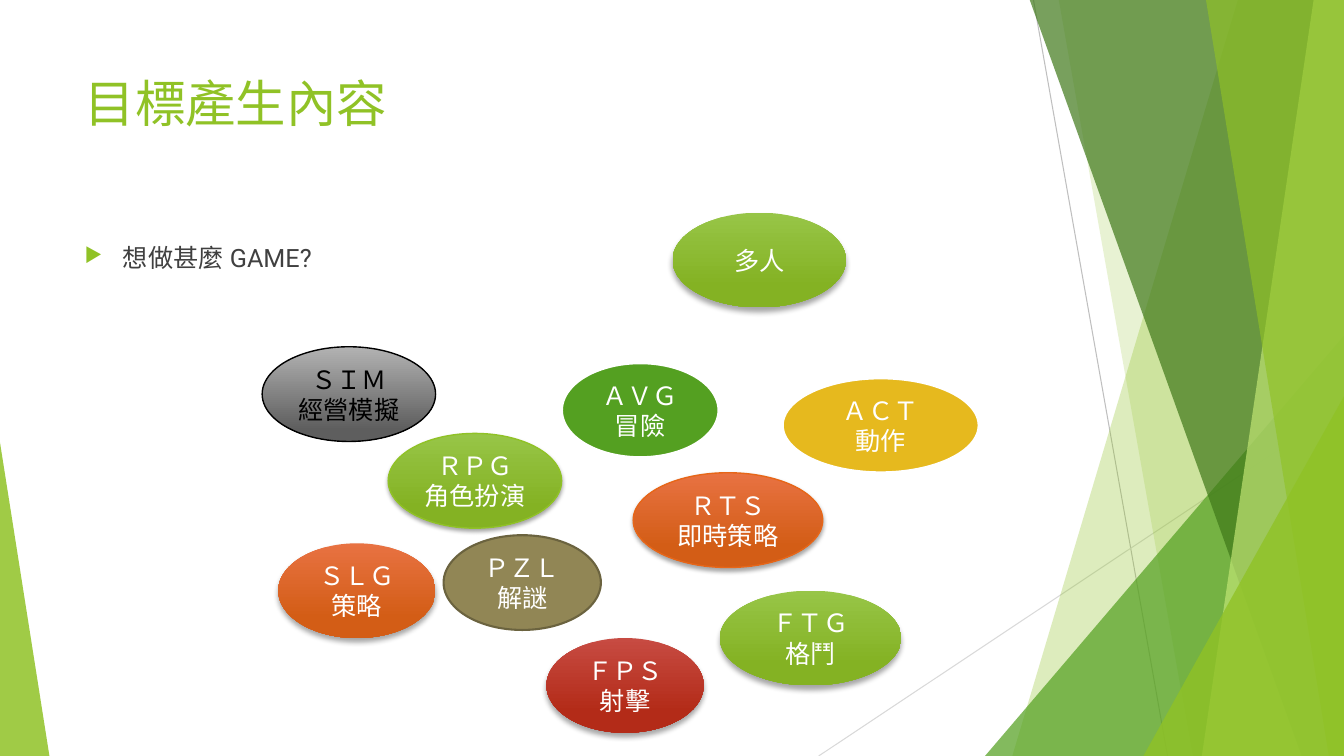
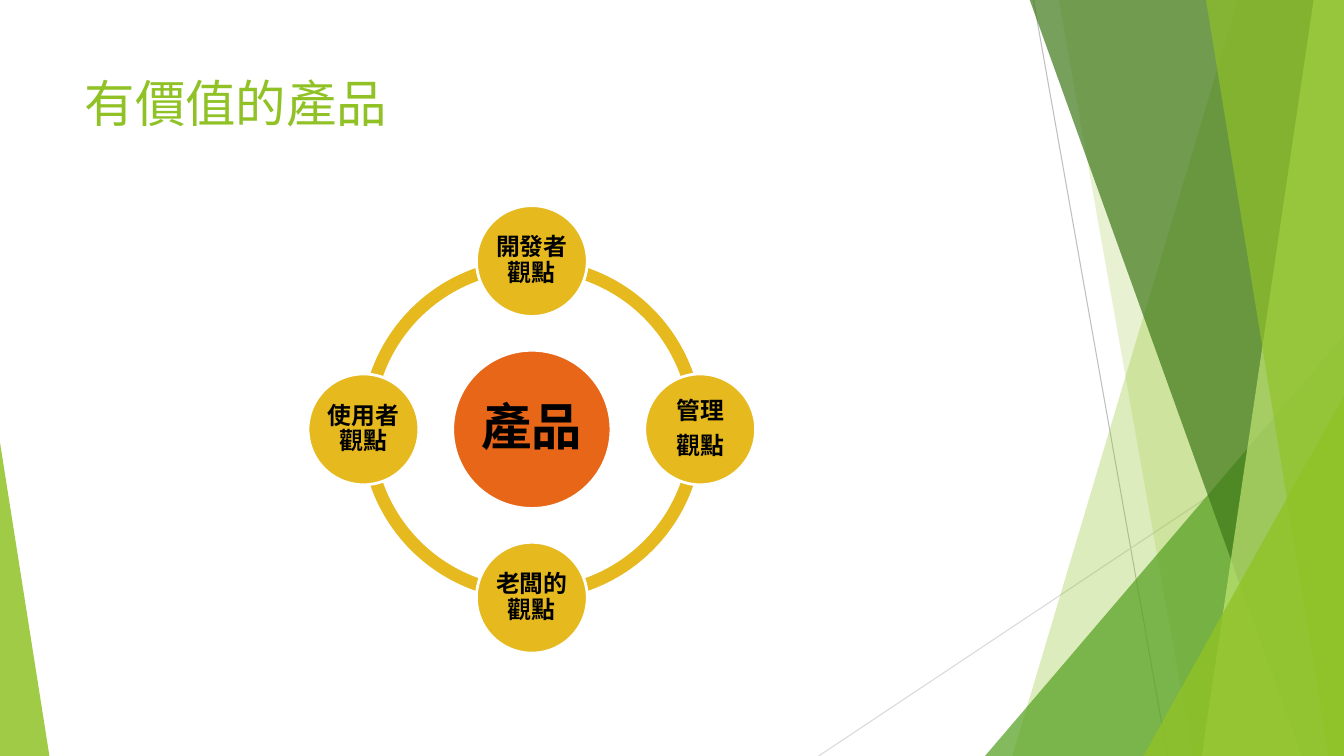
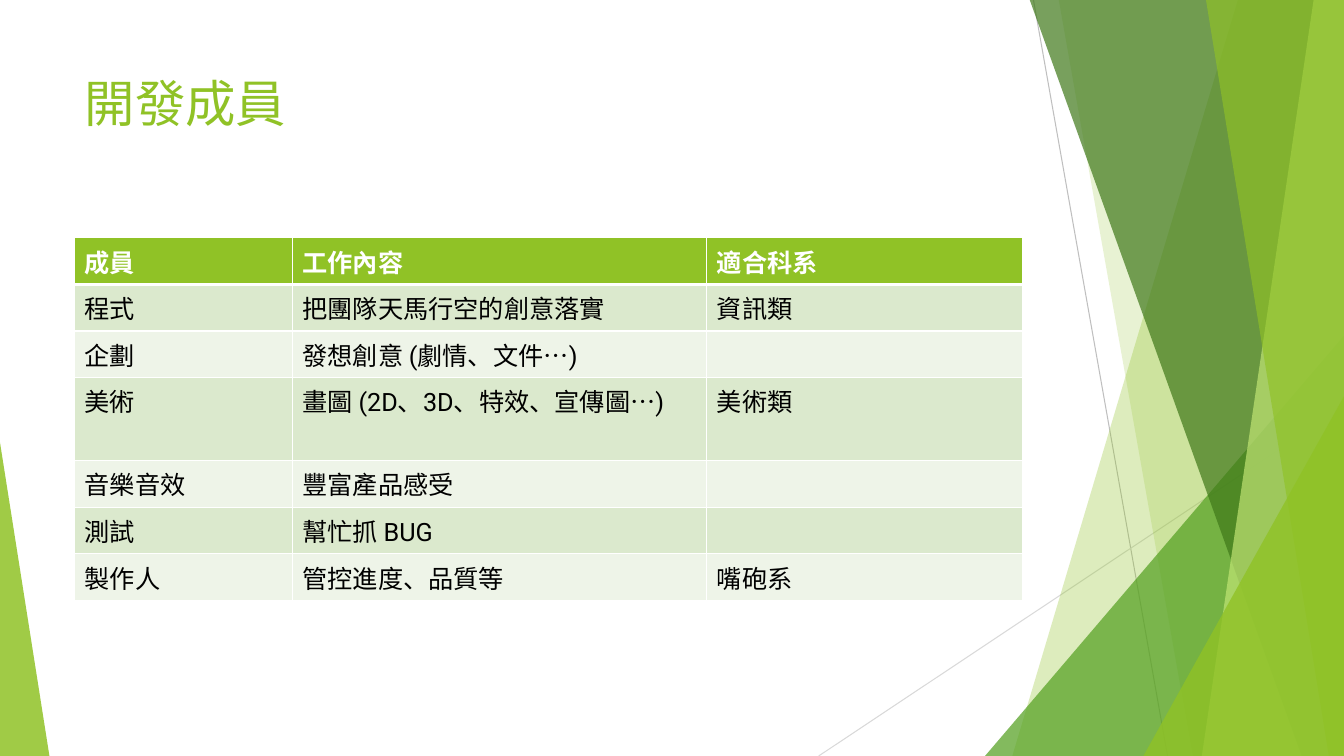
from dataclasses import dataclass
from typing import Optional

from lxml import etree
from pptx import Presentation
from pptx import util as u
from pptx.dml.color import RGBColor
from pptx.enum import shapes as kinds, text as txt
from pptx.oxml import ns

FONT = "Roboto"
COLORS = {
    "white": "FFFFFF", "black": "000000", "body": "404040",
    "line_dark": "BFBFBF", "line_light": "D9D9D9",
    "lime": "90C226", "lime_pale": "C0E474", "green": "54A021", "green_dark": "3F7819",
    "gold": "E6B91E", "orange": "E76618", "olive": "918655", "olive_dark": "6B633F",
    "band_dark": "DBE9CD", "band_light": "EEF4E8",
}
GRADIENTS = {  # top colour, bottom colour, where the bottom colour is reached
    "lime": ("97C547", "84B223", 0.78),
    "orange": ("E87242", "D35D16", 0.78),
    "red": ("C74B42", "B32B18", 0.78),
    "gray": ("B2B2B2", "5E5E5E", 0.88),
}
PAGE_W, PAGE_H, TOP = 13.33, 7.5, -0.01
LEFT, BODY_TOP, BODY_W = 0.74, 2.36, 9.4


@dataclass
class Pane:
    """Slanted pane that runs to the right edge of the page."""
    top_x: float
    bottom_x: float
    color: str
    alpha: int


@dataclass
class Corner:
    """Right triangle standing on the bottom edge."""
    left: float
    top: float
    width: float
    peak: float
    color: str
    alpha: int


@dataclass
class Genre:
    lines: tuple[str, ...]
    left: float
    top: float
    width: float
    gradient: Optional[str] = None
    fill: Optional[str] = None
    line: Optional[tuple[str, float]] = None
    shadow: Optional[tuple[int, int]] = None  # blur and distance in points
    color: str = "white"


RAYS = [((10.25, 0), (11.58, PAGE_H), "line_dark"),
        ((PAGE_W, 4.03), (8.12, PAGE_H), "line_light")]
DECOR = [
    Pane(12.28, 10.04, "lime", 30),
    Pane(10.5, 11.83, "lime", 20),
    Corner(9.77, 3.33, 3.56, 1, "green", 72),
    Pane(10.21, 12.91, "green_dark", 70),
    Pane(13.03, 11.92, "lime_pale", 70),
    Pane(11.96, 13.18, "lime", 65),
    Corner(11.34, 3.93, 1.99, 1, "lime", 80),
    Corner(0, 4.39, 0.49, 0, "lime", 85),
]
SOFT, TIGHT = (4, 3), (3, 2)
GENRE_H = 0.94
GENRES = [
    Genre(("多人",), 6.67, 2.11, 1.72, "lime", shadow=SOFT),
    Genre(("ＲＰＧ", "角色扮演"), 3.85, 4.3, 1.72, "lime", line=("lime", 1), shadow=TIGHT),
    Genre(("ＳＬＧ", "策略"), 2.76, 5.39, 1.56, "orange", shadow=SOFT),
    Genre(("ＡＣＴ", "動作"), 7.76, 3.75, 1.95, fill="gold", line=("white", 2)),
    Genre(("ＰＺＬ", "解謎"), 4.4, 5.31, 1.56, fill="olive", line=("olive_dark", 1.5)),
    Genre(("ＡＶＧ", "冒險"), 5.57, 3.6, 1.56, fill="green", line=("white", 2)),
    Genre(("ＦＰＳ", "射擊"), 5.42, 6.33, 1.56, "red", shadow=SOFT),
    Genre(("ＦＴＧ", "格鬥"), 7.14, 5.86, 1.8, "lime", shadow=SOFT),
    Genre(("ＲＴＳ", "即時策略"), 6.28, 4.69, 1.88, "orange", line=("orange", 1), shadow=TIGHT),
    Genre(("ＳＩＭ", "經營模擬"), 2.6, 3.44, 1.72, "gray", line=("black", 1), color="black"),
]
VIEWS = [  # direction from the hub and lines
    ((0, -1), ("開發者觀點",)), ((1, 0), ("管理", "觀點")),
    ((0, 1), ("老闆的觀點",)), ((-1, 0), ("使用者觀點",)),
]
MEMBERS = [
    ("成員", "工作內容", "適合科系"),
    ("程式", "把團隊天馬行空的創意落實", "資訊類"),
    ("企劃", "發想創意 (劇情、文件…)", ""),
    ("美術", "畫圖 (2D、3D、特效、宣傳圖…)", "美術類"),
    ("音樂音效", "豐富產品感受", ""),
    ("測試", "幫忙抓 BUG", ""),
    ("製作人", "管控進度、品質等", "嘴砲系"),
]


# Formatting helpers
def rgb(name: str) -> RGBColor:
    return RGBColor.from_string(COLORS[name])


def add_element(parent, tag: str, **attributes):
    return etree.SubElement(parent, ns.qn(tag), {k: str(v) for k, v in attributes.items()})


def set_all(target, values: dict) -> None:
    for name, value in values.items():
        setattr(target, name, value)


def set_font(span, size: float, color: str, bold: bool = False, east_asian: bool = True) -> None:
    set_all(span.font, {"name": FONT, "size": u.Pt(size), "bold": bold})
    span.font.color.rgb = rgb(color)
    if east_asian:
        span.font._element.find(ns.qn("a:latin")).addnext(
            etree.Element(ns.qn("a:ea"), {"typeface": FONT}))


def write(frame, lines, size: float, color: str, bold: bool = False,
          east_asian: bool = True, **para_format) -> None:
    frame.word_wrap = True
    for index, line in enumerate(lines):
        para = frame.paragraphs[0] if index == 0 else frame.add_paragraph()
        set_all(para, para_format)
        span = para.add_run()
        span.text = line
        set_font(span, size, color, bold, east_asian)


def paint(shape, fill: Optional[str] = None, line: Optional[tuple[str, float]] = None,
          alpha: int = 100) -> None:
    shape.shadow.inherit = False
    if fill:
        shape.fill.solid()
        shape.fill.fore_color.rgb = rgb(fill)
        if alpha < 100:
            color = shape.element.spPr.find(ns.qn("a:solidFill"))[0]
            add_element(color, "a:alpha", val=alpha * 1000)
    if line:
        shape.line.color.rgb = rgb(line[0])
        shape.line.width = u.Pt(line[1])
    else:
        shape.line.fill.background()


def paint_gradient(shape, name: str) -> None:
    top, bottom, end = GRADIENTS[name]
    shape.fill.gradient()
    shape.fill.gradient_angle = 270
    for stop, color, position in zip(shape.fill.gradient_stops, (top, bottom), (0, end)):
        stop.color.rgb = RGBColor.from_string(color)
        stop.position = position


def cast_shadow(shape, blur: int, distance: int) -> None:
    effects = shape.element.spPr.find(ns.qn("a:effectLst"))
    shadow = add_element(effects, "a:outerShdw", blurRad=u.Pt(blur), dist=u.Pt(distance),
                         dir=90 * 60000, rotWithShape=0)
    color = add_element(shadow, "a:srgbClr", val=COLORS["black"])
    add_element(color, "a:alpha", val=35000)


def add_preset(page, kind, left: float, top: float, width: float, height: float):
    return page.shapes.add_shape(kind, *map(u.Inches, (left, top, width, height)))


# Parts shared by every slide
def add_pane(page, pane: Pane) -> None:
    points = [(PAGE_W, TOP), (PAGE_W, PAGE_H), (pane.bottom_x, PAGE_H)]
    builder = page.shapes.build_freeform(u.Inches(pane.top_x), u.Inches(TOP))
    builder.add_line_segments([(u.Inches(x), u.Inches(y)) for x, y in points], close=True)
    paint(builder.convert_to_shape(), pane.color, alpha=pane.alpha)


def add_corner(page, corner: Corner) -> None:
    triangle = add_preset(page, kinds.MSO_SHAPE.ISOSCELES_TRIANGLE, corner.left, corner.top,
                          corner.width, PAGE_H - corner.top)
    triangle.adjustments[0] = corner.peak
    paint(triangle, corner.color, alpha=corner.alpha)


def add_page(deck, title: str):
    page = deck.slides.add_slide(deck.slide_layouts[5])
    for start, end, color in RAYS:
        ray = page.shapes.add_connector(kinds.MSO_CONNECTOR.STRAIGHT,
                                        *map(u.Inches, start + end))
        ray.line.color.rgb = rgb(color)
        ray.line.width = u.Pt(0.75)
        add_element(ray.element.spPr, "a:effectLst")
    for part in DECOR:
        if isinstance(part, Pane):
            add_pane(page, part)
        else:
            add_corner(page, part)
    box = page.shapes.title
    set_all(box, {"left": u.Inches(LEFT), "top": u.Inches(0.67),
                  "width": u.Inches(BODY_W), "height": u.Inches(1.44)})
    box.text_frame.vertical_anchor = txt.MSO_ANCHOR.TOP
    write(box.text_frame, [title], 36, "lime", alignment=txt.PP_ALIGN.LEFT)
    return page


# Slide 1: game genres
def add_genre(page, genre: Genre) -> None:
    oval = add_preset(page, kinds.MSO_SHAPE.OVAL, genre.left, genre.top, genre.width, GENRE_H)
    paint(oval, genre.fill, genre.line)
    if genre.gradient:
        paint_gradient(oval, genre.gradient)
    if genre.shadow:
        cast_shadow(oval, *genre.shadow)
    write(oval.text_frame, genre.lines, 18, genre.color, alignment=txt.PP_ALIGN.CENTER)


def build_genres(deck) -> None:
    page = add_page(deck, "目標產生內容")
    for genre in GENRES:
        add_genre(page, genre)
    box = page.shapes.add_textbox(*map(u.Inches, (LEFT, BODY_TOP, 5, 0.5)))
    para = box.text_frame.paragraphs[0]
    layout = para._p.get_or_add_pPr()
    indent = u.Inches(0.38)
    set_all(para, {"alignment": txt.PP_ALIGN.LEFT})
    layout.set("marL", str(indent))
    layout.set("indent", str(-indent))
    add_element(add_element(layout, "a:buClr"), "a:srgbClr", val=COLORS["lime"])
    add_element(layout, "a:buSzPct", val=80000)
    add_element(layout, "a:buChar", char="▶")
    write(box.text_frame, ["想做甚麼 GAME?"], 18, "body")


# Slide 2: viewpoints around the product
def add_disc(page, center: tuple[float, float], size: float, inset: float,
             fill: str, lines: tuple[str, ...], points: int) -> None:
    disc = add_preset(page, kinds.MSO_SHAPE.OVAL, center[0] - size / 2, center[1] - size / 2,
                      size, size)
    paint(disc, fill, ("white", 2))
    margin = u.Inches(inset)
    set_all(disc.text_frame, {f"margin_{side}": margin
                              for side in ("left", "top", "right", "bottom")})
    write(disc.text_frame, lines, points, "black", bold=True, line_spacing=0.9,
          space_after=u.Pt(round(points * 0.35)), alignment=txt.PP_ALIGN.CENTER)


def build_views(deck) -> None:
    page = add_page(deck, "有價值的產品")
    hub_x, hub_y, ring, orbit, quarter = 5.275, 4.26, 3.42, 1.67, 54
    for index in range(4):
        arc = add_preset(page, kinds.MSO_SHAPE.BLOCK_ARC, hub_x - ring / 2, hub_y - ring / 2,
                         ring, ring)
        for place, value in enumerate((quarter * index, quarter * ((index + 1) % 4), 0.046)):
            arc.adjustments[place] = value
        paint(arc, "gold", ("white", 2))
    add_disc(page, (hub_x, hub_y), 1.57, 0.05, "orange", ("產品",), 36)
    for (dx, dy), lines in VIEWS:
        add_disc(page, (hub_x + orbit * dx, hub_y + orbit * dy), 1.1, 0.02, "gold", lines, 17)


# Slide 3: team table
def add_borders(cell, top: float, bottom: float) -> None:
    props = cell._tc.get_or_add_tcPr()
    for place, (side, width) in enumerate(zip("LRTB", (1, 1, top, bottom))):
        edge = etree.Element(ns.qn(f"a:ln{side}"), {"w": str(u.Pt(width))})
        add_element(add_element(edge, "a:solidFill"), "a:srgbClr", val=COLORS["white"])
        props.insert(place, edge)


def build_team(deck) -> None:
    page = add_page(deck, "開發成員")
    row_h = 0.41
    table = page.shapes.add_table(
        len(MEMBERS), 3, *map(u.Inches, (LEFT, BODY_TOP, BODY_W, row_h * len(MEMBERS)))).table
    for column, width in zip(table.columns, (2.16, 4.11, 3.13)):
        column.width = u.Inches(width)
    for index, values in enumerate(MEMBERS):
        table.rows[index].height = u.Inches(row_h)
        header = index == 0
        fill = "lime" if header else ("band_light", "band_dark")[index % 2]
        for cell, value in zip(table.rows[index].cells, values):
            cell.fill.solid()
            cell.fill.fore_color.rgb = rgb(fill)
            add_borders(cell, 3 if index == 1 else 1, 3 if header else 1)
            if value:
                write(cell.text_frame, [value], 18, "white" if header else "black",
                      bold=header, east_asian=False)


def main() -> None:
    deck = Presentation()
    deck.slide_width, deck.slide_height = u.Inches(PAGE_W), u.Inches(PAGE_H)
    build_genres(deck)
    build_views(deck)
    build_team(deck)
    deck.save("out.pptx")


if __name__ == "__main__":
    main()
